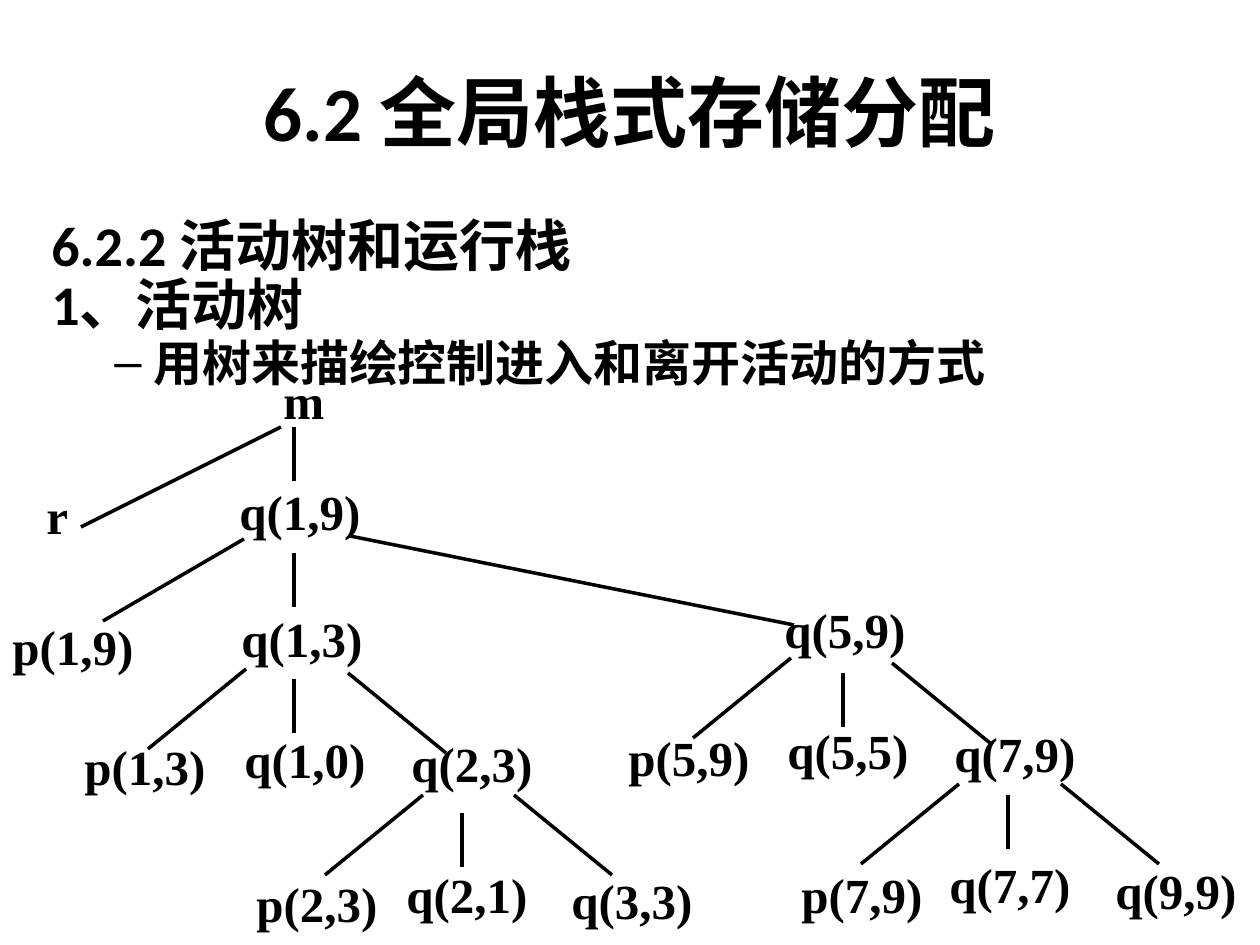
import pptx
import pptx.util
import pptx.dml.color
import pptx.enum.shapes
import pptx.enum.text
import pptx.oxml.ns
from lxml import etree

PX = 914400 / 126
COLORS = {"ink": "000000", "paper": "FFFFFF"}
LATIN, HAN, SERIF = "Calibri", "Noto Sans CJK SC", "Times New Roman"
ALIGN = pptx.enum.text.PP_ALIGN
qn = pptx.oxml.ns.qn


def emu(*lengths):
    return [pptx.util.Emu(round(length * PX)) for length in lengths]


def add_run(paragraph, text, size, latin, east_asian=None):
    run = paragraph.add_run()
    run.text = text
    run.font.size = pptx.util.Pt(size)
    run.font.bold = True
    run.font.color.rgb = pptx.dml.color.RGBColor.from_string(COLORS["ink"])
    run.font.name = latin
    if east_asian:
        properties = run.font._element
        etree.SubElement(properties, qn("a:ea"), typeface=east_asian)


presentation = pptx.Presentation()
presentation.slide_width, presentation.slide_height = emu(1260, 945)
slide = presentation.slides.add_slide(presentation.slide_layouts[5])
slide.background.fill.solid()
slide.background.fill.fore_color.rgb = pptx.dml.color.RGBColor.from_string(COLORS["paper"])

# Title
title = slide.shapes.title
title.left, title.top, title.width, title.height = emu(21, 32, 1218, 158)
title.text_frame.auto_size = pptx.enum.text.MSO_AUTO_SIZE.NONE
title.text_frame.vertical_anchor = pptx.enum.text.MSO_ANCHOR.MIDDLE
paragraph = title.text_frame.paragraphs[0]
paragraph.alignment = ALIGN.CENTER
add_run(paragraph, "6.2 全局栈式存储分配", 44, LATIN, HAN)

# Outline: runs, size, level, line height in points, left margin and hang in px
outline = [
    ([("6.2.2 活动树和运行栈", LATIN)], 32, 0, 42, 48, 48),
    ([("1", LATIN), ("、活动树", HAN)], 32, 0, 34, 48, 48),
    ([("用树来描绘控制进入和离开活动的方式", HAN)], 28, 1, 31, 102, 39),
]
body = slide.shapes.add_textbox(*emu(39, 198, 1181, 694)).text_frame
body.word_wrap = True
for index, (runs, size, level, line_height, margin, hang) in enumerate(outline):
    paragraph = body.add_paragraph() if index else body.paragraphs[0]
    paragraph.alignment = ALIGN.JUSTIFY
    paragraph.level = level
    paragraph.line_spacing = pptx.util.Pt(line_height)
    properties = paragraph._p.get_or_add_pPr()
    left, indent = emu(margin, -hang)
    properties.set("marL", str(left))
    properties.set("indent", str(indent))
    if level:
        etree.SubElement(properties, qn("a:buFont"), typeface="Arial")
        etree.SubElement(properties, qn("a:buChar"), char="–")
    for text, latin in runs:
        add_run(paragraph, text, size, latin, HAN)

# Activation tree nodes: left and top
nodes = {
    "m": (271, 364), "r": (34, 479),
    "q(1,9)": (227, 475), "p(1,9)": (0, 610),
    "q(1,3)": (229, 602), "q(1,0)": (232, 723), "p(1,3)": (72, 730),
    "q(2,3)": (399, 727), "q(2,1)": (394, 858), "q(3,3)": (559, 864), "p(2,3)": (244, 867),
    "q(5,9)": (772, 593), "q(5,5)": (775, 714), "p(5,9)": (616, 721),
    "q(7,9)": (942, 717), "q(7,7)": (937, 848), "q(9,9)": (1103, 854), "p(7,9)": (789, 858),
}
for label, (left, top) in nodes.items():
    width, height = (80, 83) if len(label) == 1 else (158, 96)
    frame = slide.shapes.add_textbox(*emu(left, top, width, height)).text_frame
    frame.word_wrap = True
    frame.paragraphs[0].alignment = ALIGN.JUSTIFY
    add_run(frame.paragraphs[0], label, 28, SERIF)

# Branches: each run (dx, dy) with the points it starts from
branches = {
    (0, 54): [(294, 427), (294, 553), (294, 679), (462, 813), (843, 673), (1008, 795)],
    (-98, 80): [(246, 669), (423, 795), (791, 658), (959, 784)],
    (98, 80): [(348, 673), (514, 795), (892, 663), (1061, 784)],
    (-200, 100): [(281, 427)],
    (-141, 82): [(244, 539)],
    (444, 89): [(350, 536)],
}
for (dx, dy), starts in branches.items():
    for x, y in starts:
        branch = slide.shapes.add_connector(
            pptx.enum.shapes.MSO_CONNECTOR.STRAIGHT, *emu(x, y, x + dx, y + dy))
        branch.line.color.rgb = pptx.dml.color.RGBColor.from_string(COLORS["ink"])
        branch.line.width = pptx.util.Pt(2)
        etree.SubElement(branch._element.spPr, qn("a:effectLst"))

presentation.save("out.pptx")
